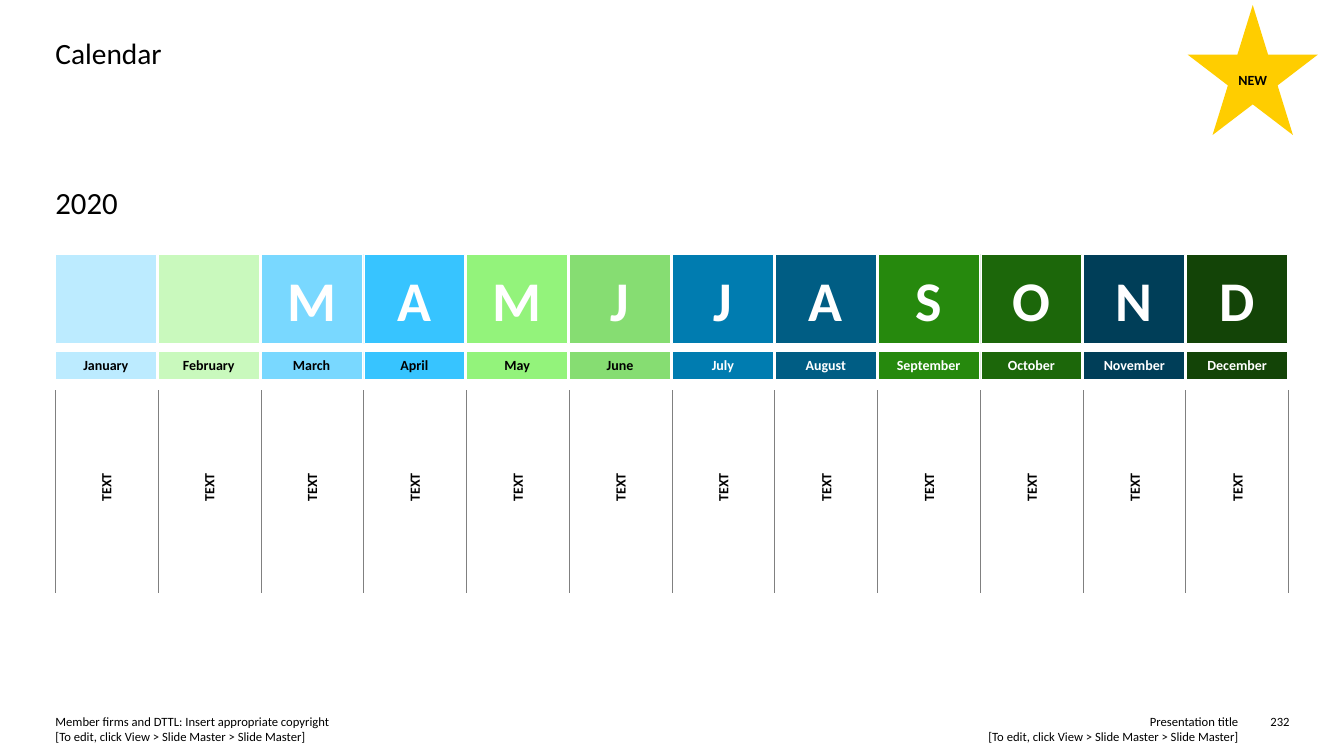
from lxml import etree
from pptx import Presentation
from pptx import util as u
from pptx.dml.color import RGBColor
from pptx.enum import shapes, text
from pptx.oxml import ns

COLOURS = {"black": "000000", "white": "FFFFFF", "rule": "808080", "star": "FFCD00"}
FONT = "Calibri"
# Initial (none on the two palest fills), month name, fill, colour of the name
MONTHS = [
    ("", "January", "BCEBFF", "black"), ("", "February", "C9F9BD", "black"),
    ("M", "March", "79D8FF", "black"), ("A", "April", "37C4FF", "black"),
    ("M", "May", "93F37B", "black"), ("J", "June", "86DD72", "black"),
    ("J", "July", "007CB0", "white"), ("A", "August", "005D84", "white"),
    ("S", "September", "26890D", "white"), ("O", "October", "1C670A", "white"),
    ("N", "November", "003E58", "white"), ("D", "December", "134407", "white"),
]
LEFT, CENTER, RIGHT = text.PP_ALIGN.LEFT, text.PP_ALIGN.CENTER, text.PP_ALIGN.RIGHT


def inches(box):
    return [u.Inches(length) for length in box]


def write(shape, lines, size, colour, align, margin=0, bold=False, middle=False, **spacing):
    frame = shape.text_frame
    anchor = text.MSO_ANCHOR.MIDDLE if middle else text.MSO_ANCHOR.TOP
    frame_format = {"word_wrap": True, "vertical_anchor": anchor}
    for side in ("left", "top", "right", "bottom"):
        frame_format["margin_" + side] = u.Inches(margin)
    for name, value in frame_format.items():
        setattr(frame, name, value)
    paragraph = frame.paragraphs[0]
    for name, value in {"alignment": align, **spacing}.items():
        setattr(paragraph, name, value)
    for index, line in enumerate(lines):
        if index:
            paragraph.add_line_break()
        run = paragraph.add_run()
        run.text = line
        for name, value in {"name": FONT, "size": u.Pt(size), "bold": bold}.items():
            setattr(run.font, name, value)
        run.font.color.rgb = RGBColor.from_string(COLOURS[colour])


def add_label(slide, box, lines, size, align=LEFT):
    write(slide.shapes.add_textbox(*inches(box)), lines, size, "black", align)


def add_filled(slide, kind, box, fill, outlined=True):
    shape = slide.shapes.add_shape(kind, *inches(box))
    shape.shadow.inherit = False
    shape.fill.solid()
    shape.fill.fore_color.rgb = RGBColor.from_string(fill)
    if outlined:
        shape.line.color.rgb = RGBColor.from_string(COLOURS["white"])
        shape.line.width = u.Pt(0.5)
    else:
        shape.line.fill.background()
    return shape


def add_rule(slide, x, top, bottom):
    rule = slide.shapes.add_connector(shapes.MSO_CONNECTOR.STRAIGHT, *inches((x, top, x, bottom)))
    rule.line.color.rgb = RGBColor.from_string(COLOURS["rule"])
    rule.line.width = u.Pt(0.5)
    etree.SubElement(rule.element.spPr, ns.qn("a:effectLst"))


def add_month(slide, box, initial, month, fill, name_colour):
    """One column: initial, name and turned text."""
    left, top, width, _ = box
    cells = [
        (0, 0.89, fill, initial, 40, "white"),
        (0.97, 0.27, fill, month, 10, name_colour),
        (1.28, 2.07, COLOURS["white"], "TEXT", 10, "black"),
    ]
    for offset, height, cell_fill, words, size, colour in cells:
        cell = add_filled(slide, shapes.MSO_SHAPE.RECTANGLE,
                          (left, top + offset, width, height), cell_fill)
        if words:
            write(cell, [words], size, colour, CENTER, 0.08, bold=True, middle=True,
                  space_after=u.Pt(3))
    cell.element.txBody.bodyPr.set("vert", "vert270")


def add_calendar(slide, box):
    left, top, width, height = box
    column_width, pitch = 1, 1.02
    for index, month in enumerate(MONTHS):
        add_month(slide, (left + index * pitch, top, column_width, height), *month)
    # Rules between the columns
    for index in range(len(MONTHS) + 1):
        add_rule(slide, left + index * width / len(MONTHS), top + 1.35, top + height)


def add_header(slide, box):
    left, top, width, height = box
    add_label(slide, box, ["Calendar"], 21)
    add_label(slide, (left, top + 1.47, 3.46, height), ["2020"], 22)


def add_star(slide, box):
    star = add_filled(slide, shapes.MSO_SHAPE.STAR_5_POINT, box, COLOURS["star"], outlined=False)
    write(star, ["NEW"], 10, "black", CENTER, 0.1, bold=True, middle=True, line_spacing=1.06)


def add_footer(slide, box):
    left, top, width, height = box
    right = left + width
    hint = "[To edit, click View > Slide Master > Slide Master]"
    add_label(slide, (left, top, 5.86, height),
              ["Member firms and DTTL: Insert appropriate copyright", hint], 9)
    add_label(slide, (right - 5.86, top, 5.35, height), ["Presentation title", hint], 9, RIGHT)
    add_label(slide, (right - 0.34, top, 0.34, 0.15), ["232"], 9, RIGHT)


def main():
    presentation = Presentation()
    presentation.slide_width = u.Inches(13.33)
    presentation.slide_height = u.Inches(7.5)
    slide = presentation.slides.add_slide(presentation.slide_layouts[6])
    add_footer(slide, (0.55, 7.08, 12.24, 0.3))
    add_header(slide, (0.55, 0.35, 12.24, 0.37))
    add_calendar(slide, (0.55, 2.52, 12.23, 3.36))
    add_star(slide, (11.78, 0.05, 1.29, 1.29))
    presentation.save("out.pptx")


if __name__ == "__main__":
    main()
